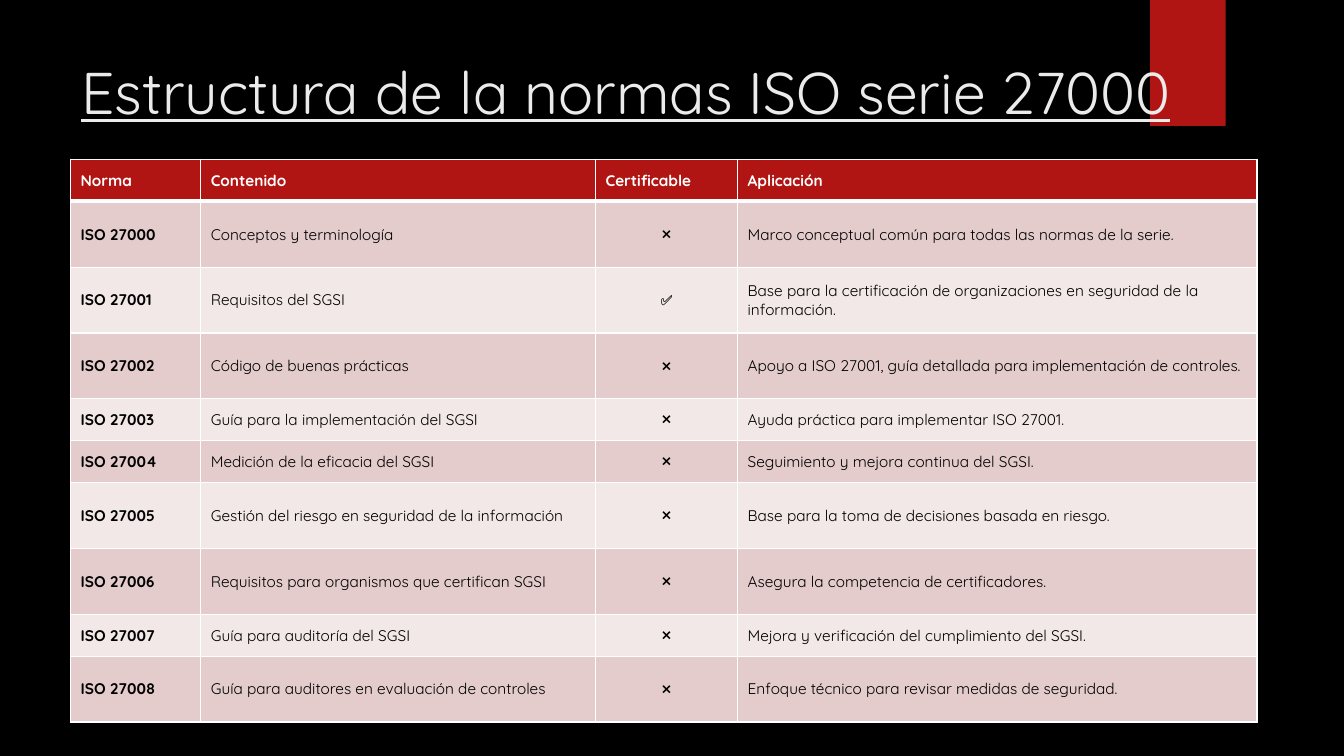
from pptx import Presentation
from pptx.dml.color import RGBColor
from pptx.enum.shapes import MSO_SHAPE as SHAPE
from pptx.enum.text import MSO_ANCHOR as ANCHOR, PP_ALIGN as ALIGN
from pptx.oxml import parse_xml
from pptx.oxml.ns import nsdecls
from pptx.util import Pt

COLORS = {
    "background": "000000",
    "accent": "B01513",
    "title": "EBEBEB",
    "header": "FFFFFF",
    "body": "000000",
    "border": "FFFFFF",
    "odd": "E4CCCC",
    "even": "F2E8E7",
}
FONT = "Quicksand"
NO, YES = "❌", "✅"
TALL, SHORT = 47, 30

HEADER = ("Norma", "Contenido", "Certificable", "Aplicación")
COLUMN_WIDTHS = (93, 282, 101.5, 371)
STANDARDS = [
    (TALL, "ISO 27000", "Conceptos y terminología", NO,
     "Marco conceptual común para todas las normas de la serie."),
    (TALL, "ISO 27001", "Requisitos del SGSI", YES,
     "Base para la certificación de organizaciones en seguridad de la información."),
    (TALL, "ISO 27002", "Código de buenas prácticas", NO,
     "Apoyo a ISO 27001, guía detallada para implementación de controles."),
    (SHORT, "ISO 27003", "Guía para la implementación del SGSI", NO,
     "Ayuda práctica para implementar ISO 27001."),
    (SHORT, "ISO 27004", "Medición de la eficacia del SGSI", NO,
     "Seguimiento y mejora continua del SGSI."),
    (TALL, "ISO 27005", "Gestión del riesgo en seguridad de la información", NO,
     "Base para la toma de decisiones basada en riesgo."),
    (TALL, "ISO 27006", "Requisitos para organismos que certifican SGSI", NO,
     "Asegura la competencia de certificadores."),
    (SHORT, "ISO 27007", "Guía para auditoría del SGSI", NO,
     "Mejora y verificación del cumplimiento del SGSI."),
    (TALL, "ISO 27008", "Guía para auditores en evaluación de controles", NO,
     "Enfoque técnico para revisar medidas de seguridad."),
]


def rgb(name):
    return RGBColor.from_string(COLORS[name])


def write(tf, text, size=11, color="body", bold=False, underline=False, align=ALIGN.LEFT):
    p = tf.paragraphs[0]
    p.alignment = align
    r = p.add_run()
    r.text = text
    r.font.name = FONT
    r.font.size = Pt(size)
    r.font.bold = bold
    r.font.underline = underline
    r.font.color.rgb = rgb(color)


def set_borders(cell, top=1, bottom=1):
    """Draw the four sides of a cell; must run before the cell is filled."""
    for side, width in (("L", 1), ("R", 1), ("T", top), ("B", bottom)):
        cell._tc.get_or_add_tcPr().append(parse_xml(
            f'<a:ln{side} {nsdecls("a")} w="{Pt(width)}"><a:solidFill>'
            f'<a:srgbClr val="{COLORS["border"]}"/></a:solidFill></a:ln{side}>'))


class SlideBuilder:
    def __init__(self, prs):
        self.s = prs.slides.add_slide(prs.slide_layouts[6])
        fill = self.s.background.fill
        fill.solid()
        fill.fore_color.rgb = rgb("background")

    def rectangle(self, x, y, w, h, color):
        sp = self.s.shapes.add_shape(SHAPE.RECTANGLE, Pt(x), Pt(y), Pt(w), Pt(h))
        sp.shadow.inherit = False
        sp.fill.solid()
        sp.fill.fore_color.rgb = rgb(color)
        sp.line.fill.background()

    def text(self, x, y, w, h, text, **style):
        tf = self.s.shapes.add_textbox(Pt(x), Pt(y), Pt(w), Pt(h)).text_frame
        tf.word_wrap = True
        tf.vertical_anchor = ANCHOR.TOP
        write(tf, text, **style)

    def cell(self, cell, text, fill, top=1, bottom=1, **style):
        cell.vertical_anchor = ANCHOR.MIDDLE
        write(cell.text_frame, text, **style)
        set_borders(cell, top, bottom)
        cell.fill.solid()
        cell.fill.fore_color.rgb = rgb(fill)

    def standards_table(self, x, y):
        heights = [SHORT] + [height for height, *_ in STANDARDS]
        table = self.s.shapes.add_table(
            len(heights), len(HEADER), Pt(x), Pt(y),
            Pt(sum(COLUMN_WIDTHS)), Pt(sum(heights))).table
        table.horz_banding = False
        for column, width in zip(table.columns, COLUMN_WIDTHS):
            column.width = Pt(width)
        for row, height in zip(table.rows, heights):
            row.height = Pt(height)

        for j, label in enumerate(HEADER):
            self.cell(table.cell(0, j), label, "accent", bottom=3, color="header", bold=True)
        for i, (_, *values) in enumerate(STANDARDS, start=1):
            for j, value in enumerate(values):
                mark = value in (NO, YES)
                self.cell(table.cell(i, j), value, "odd" if i % 2 else "even",
                          top=3 if i == 1 else 1, bold=j == 0,
                          size=10 if mark else 11,
                          align=ALIGN.CENTER if mark else ALIGN.LEFT)


def main():
    prs = Presentation()
    prs.slide_width, prs.slide_height = Pt(960), Pt(540)
    slide = SlideBuilder(prs)
    slide.rectangle(821.5, 0, 54, 90, "accent")
    slide.text(51, 36, 858, 110, "Estructura de la normas ISO serie 27000",
               size=42, color="title", underline=True)
    slide.standards_table(50.4, 113.8)
    prs.save("out.pptx")


if __name__ == "__main__":
    main()
